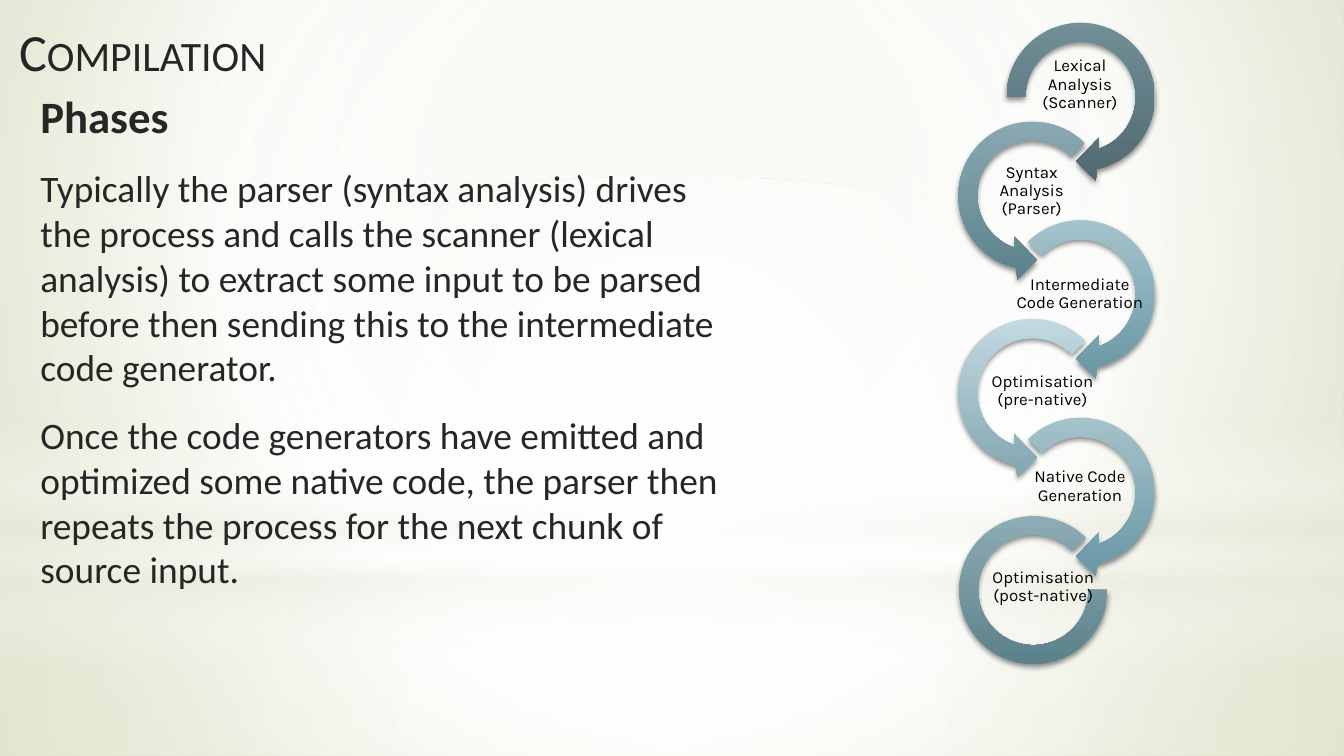
from dataclasses import dataclass

from lxml import etree
from pptx import Presentation
from pptx.dml.color import RGBColor
from pptx.enum.shapes import MSO_SHAPE
from pptx.enum.text import MSO_ANCHOR, MSO_AUTO_SIZE, PP_ALIGN
from pptx.oxml import parse_xml
from pptx.oxml.ns import nsdecls, qn
from pptx.util import Pt

RECT, OVAL = MSO_SHAPE.RECTANGLE, MSO_SHAPE.OVAL
RIGHT, LEFT = MSO_SHAPE.CIRCULAR_ARROW, MSO_SHAPE.LEFT_CIRCULAR_ARROW
ARC = MSO_SHAPE.BLOCK_ARC
MIDDLE, TOP = MSO_ANCHOR.MIDDLE, MSO_ANCHOR.TOP
CENTER, START = PP_ALIGN.CENTER, PP_ALIGN.LEFT
FIXED = MSO_AUTO_SIZE.NONE

BLACK = RGBColor(0x00, 0x00, 0x00)
INK = RGBColor(0x26, 0x26, 0x26)
WHITE = RGBColor(0xFF, 0xFF, 0xFF)
CREAM = RGBColor(0xEA, 0xEB, 0xDE)
SAGE = RGBColor(0xE3, 0xE5, 0xD1)
OLIVE = RGBColor(0xCC, 0xD0, 0x9F)
SLATE = (RGBColor(0x74, 0x91, 0x99), RGBColor(0x51, 0x69, 0x70))
TEAL = (RGBColor(0x8D, 0xAC, 0xB5), RGBColor(0x5B, 0x81, 0x8B))
SKY = (RGBColor(0xA9, 0xC6, 0xCE), RGBColor(0x68, 0x96, 0xA4))
PALE = (RGBColor(0xC8, 0xDD, 0xE4), RGBColor(0x81, 0xA6, 0xB1))

WIDE, HIGH = 720, 405
RING, STEP, FIRST = 92.2, 52.9, 5.8
LABEL = 25.9
MID = (50, 50, 50, 50)
TURN = (0.11, 11.42, 63, 189, 0.125)
BACK = (0.11, 11.42, 45, 135, 0.125)


@dataclass
class Panel:
    kind: MSO_SHAPE
    top: float
    height: float
    stops: list
    focus: tuple | None = MID


@dataclass
class Phase:
    text: str
    kind: MSO_SHAPE
    adjust: tuple
    shade: tuple
    left: float
    top: float
    width: float


PANELS = [
    Panel(RECT, 301.5, 103.5, [(0, WHITE, 91), (37, WHITE, 76), (100, CREAM, 79)]),
    Panel(RECT, 0, 301.5, [(0, WHITE, 89), (48, WHITE, 62), (100, CREAM, 79)]),
    Panel(RECT, 222.5, 135, [(0, WHITE, 0), (29, WHITE, 30), (45, CREAM, 40),
                             (55, WHITE, 26), (65, CREAM, 60), (100, WHITE, 0)], None),
    Panel(OVAL, 94.5, 301.5, [(0, WHITE, 100), (56, WHITE, 0)]),
]
PHASES = [
    Phase("Lexical Analysis (Scanner)", RIGHT, (0.11, 11.42, 45, 108, 0.125),
          SLATE, 553, 32.4, 51),
    Phase("Syntax Analysis (Parser)", LEFT, TURN, TEAL, 527.2, 89.3, 51),
    Phase("Intermediate Code Generation", RIGHT, BACK, SKY, 541, 144.7, 75),
    Phase("Optimisation (pre-native)", LEFT, TURN, PALE, 524.2, 196.6, 68.4),
    Phase("Native Code Generation", RIGHT, BACK, SKY, 553, 247.7, 51),
    Phase("Optimisation (post-native)", ARC, (0, 189, 0.127), TEAL, 525, 301.7, 67.7),
]
BODY = [
    ("Phases", 24, True),
    ("Typically the parser (syntax analysis) drives the process and calls the "
     "scanner (lexical analysis) to extract some input to be parsed before then "
     "sending this to the intermediate code generator.", 20, False),
    ("Once the code generators have emitted and optimized some native code, the "
     "parser then repeats the process for the next chunk of source input.", 20, False),
]


def blend(props, stops: list, focus: tuple | None = None) -> None:
    grad = etree.Element(qn("a:gradFill"), rotWithShape="1")
    items = etree.SubElement(grad, qn("a:gsLst"))
    for place, color, alpha in stops:
        stop = etree.SubElement(items, qn("a:gs"), pos=str(place * 1000))
        tint = etree.SubElement(stop, qn("a:srgbClr"), val=str(color))
        if alpha < 100:
            etree.SubElement(tint, qn("a:alpha"), val=str(alpha * 1000))
    if focus:
        way = etree.SubElement(grad, qn("a:path"), path="circle")
        sides = {side: str(part * 1000) for side, part in zip("ltrb", focus)}
        etree.SubElement(way, qn("a:fillToRect"), **sides)
    else:
        etree.SubElement(grad, qn("a:lin"), ang="5400000", scaled="0")
    props.replace(props.find(qn("a:solidFill")), grad)


def draw(slide, kind: MSO_SHAPE, box: tuple, stops: list, focus: tuple | None = None):
    shape = slide.shapes.add_shape(kind, *map(Pt, box))
    shape.shadow.inherit = False
    shape.line.fill.background()
    shape.fill.solid()
    blend(shape.element.spPr, stops, focus)
    return shape


def place(shape, box: tuple, anchor: MSO_ANCHOR):
    shape.left, shape.top, shape.width, shape.height = map(Pt, box)
    frame = shape.text_frame
    frame.word_wrap = True
    frame.auto_size = FIXED
    frame.vertical_anchor = anchor
    return frame


def write(para, text: str, *, size: float, font: str = "Calibri",
          color: RGBColor = INK, bold: bool = False, align: PP_ALIGN = START,
          line: float = 1.0, before: float = 0, small: bool = False) -> None:
    para.alignment = align
    para.line_spacing = line
    para.space_before = Pt(before)
    para.space_after = Pt(0)
    run = para.add_run()
    run.text = text
    run.font.name = font
    run.font.size = Pt(size)
    run.font.bold = bold
    run.font.color.rgb = color
    if small:
        run.font._element.set("cap", "small")


def cast(shape) -> None:
    glow = shape.element.spPr.find(qn("a:effectLst"))
    glow.append(parse_xml(
        f'<a:outerShdw {nsdecls("a")} blurRad="{Pt(3.1)}" dist="{Pt(1.8)}" '
        'dir="5400000" rotWithShape="0"><a:srgbClr val="000000">'
        '<a:alpha val="45000"/></a:srgbClr></a:outerShdw>'))


def fill_body(shape) -> None:
    frame = place(shape, (14.4, 44, 380.2, 291), TOP)
    for order, (text, size, bold) in enumerate(BODY):
        para = frame.add_paragraph() if order else frame.paragraphs[0]
        props = para._p.get_or_add_pPr()
        props.set("marL", "0")
        props.set("indent", "0")
        etree.SubElement(props, qn("a:buNone"))
        write(para, text, size=size, bold=bold, before=12.2 if order else 0)


def add_phase(slide, order: int, phase: Phase) -> None:
    if phase.kind == ARC:
        box = (514, 276.5, 79.2, 79.2)
    else:
        box = (507 if order % 2 else 532.8, FIRST + order * STEP, RING, RING)
    stops = [(0, phase.shade[0], 100), (100, phase.shade[1], 100)]
    ring = draw(slide, phase.kind, box, stops)
    for slot, value in enumerate(phase.adjust):
        ring.adjustments[slot] = value
    cast(ring)
    spot = (phase.left, phase.top, phase.width, LABEL)
    frame = place(slide.shapes.add_textbox(0, 0, 0, 0), spot, MIDDLE)
    frame.margin_left = frame.margin_right = Pt(0.7)
    frame.margin_top = frame.margin_bottom = Pt(0.7)
    write(frame.paragraphs[0], phase.text, size=9, font="Karla", color=BLACK,
          align=CENTER, line=0.9)


def main() -> None:
    deck = Presentation()
    deck.slide_width, deck.slide_height = Pt(WIDE), Pt(HIGH)
    slide = deck.slides.add_slide(deck.slide_layouts[1])
    slide.background.fill.solid()
    blend(slide.element.cSld.bg.bgPr,
          [(0, SAGE, 100), (60, WHITE, 100), (100, OLIVE, 100)], (20, 10, 20, 60))
    title, body = slide.placeholders
    for panel in PANELS:
        draw(slide, panel.kind, (0, panel.top, WIDE, panel.height),
             panel.stops, panel.focus)
    for holder in (title, body):
        slide.shapes._spTree.append(holder.element)
    frame = place(title, (3, 4.3, 306, 45.4), MIDDLE)
    write(frame.paragraphs[0], "Compilation", size=28, small=True)
    fill_body(body)
    for order, phase in enumerate(PHASES):
        add_phase(slide, order, phase)
    deck.save("out.pptx")


if __name__ == "__main__":
    main()
